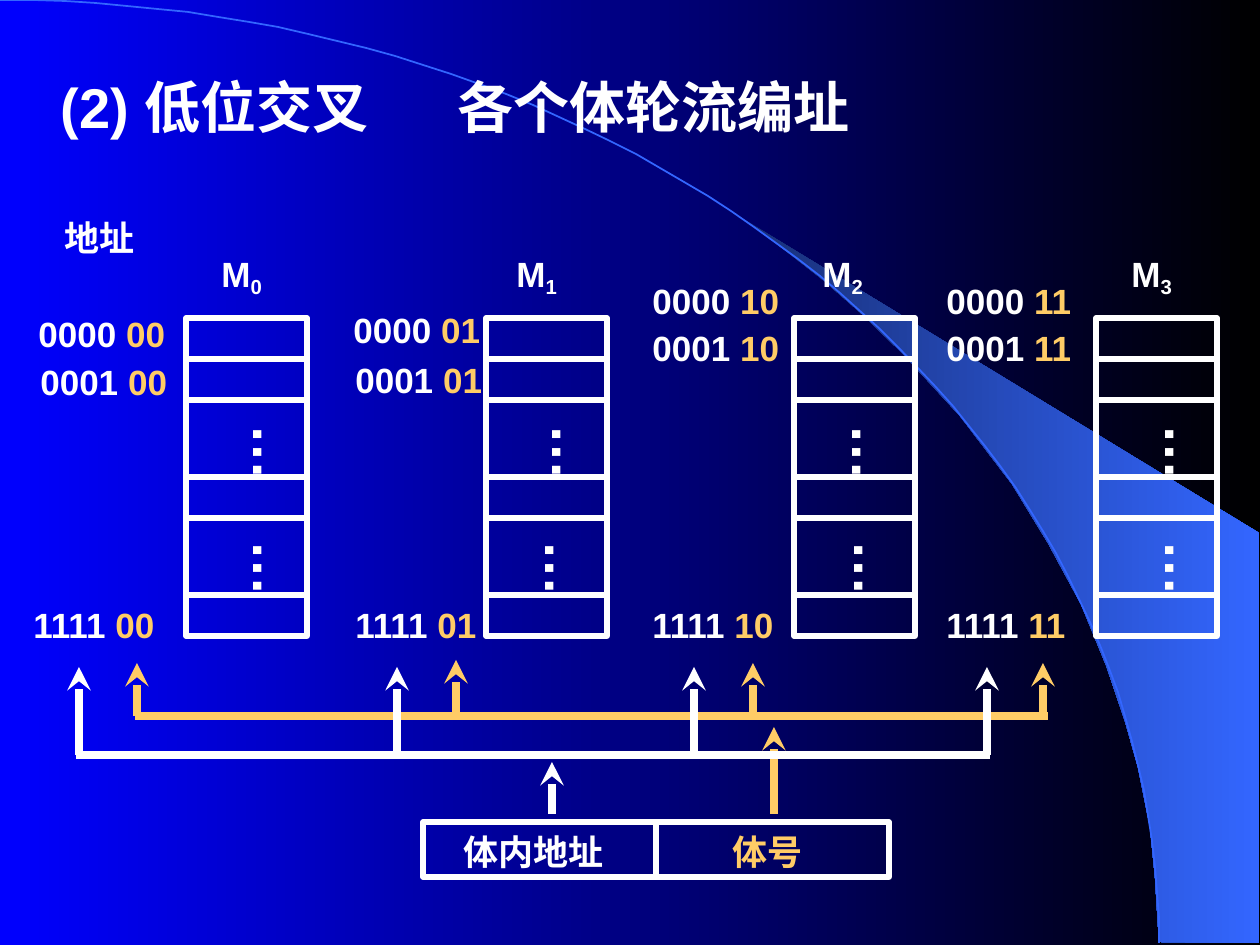
from lxml import etree
from pptx import Presentation
from pptx.dml.color import RGBColor
from pptx.enum.shapes import MSO_CONNECTOR, MSO_SHAPE
from pptx.enum.text import MSO_ANCHOR, MSO_AUTO_SIZE, PP_ALIGN
from pptx.oxml.ns import qn
from pptx.util import Pt

LINE = MSO_CONNECTOR.STRAIGHT
RECT = MSO_SHAPE.RECTANGLE
TOP = MSO_ANCHOR.TOP
LEFT = PP_ALIGN.LEFT
GROW = MSO_AUTO_SIZE.SHAPE_TO_FIT_TEXT
FIXED = MSO_AUTO_SIZE.NONE
EMU = 914400 / 126

COLORS = {
    "white": "FFFFFF", "gold": "FFCC66", "arc": "3366FF",
    "shade": "182F76", "blue": "0000FF", "black": "000000",
}


def px(*vals):
    return [round(v * EMU) for v in vals]


def rgb(name):
    return RGBColor.from_string(COLORS[name])


class Board:
    def __init__(self, slide):
        self.slide = slide
        self.shapes = slide.shapes
        self.face = "Arial"

    def blend(self, fill, *names):
        """Fill with a gradient from left to right."""
        fill.gradient()
        fill.gradient_angle = 0
        for stop, name in zip(fill.gradient_stops, names):
            stop.color.rgb = rgb(name)

    def stroke(self, line, color, width):
        line.color.rgb = rgb(color)
        line.width = Pt(width)

    def style(self, para, size, color="white"):
        font = para.font
        font.name, font.size, font.bold = self.face, Pt(size), True
        font.color.rgb = rgb(color)

    def title(self, text, *box):
        head = self.shapes.title
        head.left, head.top, head.width, head.height = px(*box)
        frame = head.text_frame
        frame.text = text
        frame.vertical_anchor = TOP
        frame.auto_size = FIXED
        para = frame.paragraphs[0]
        para.alignment = LEFT
        self.style(para, 32)

    def text(self, text, *box, size=20, color="white", wrap=False):
        frame = self.shapes.add_textbox(*px(*box)).text_frame
        frame.word_wrap = wrap
        frame.auto_size = GROW
        para = frame.paragraphs[0]
        para.add_run().text = text
        self.style(para, size, color)
        return frame

    def bank(self, num, *box):
        """Write the name of a memory bank with a subscript number."""
        run = self.text("M", *box).paragraphs[0].add_run()
        run.text = str(num)
        run.font._element.set("baseline", "-20000")

    def code(self, word, bank, x, y):
        """Write an address whose low bits name the bank."""
        frame = self.text(word + " ", x, y, 190, 55, wrap=True)
        run = frame.paragraphs[0].add_run()
        run.text = bank
        run.font.color.rgb = rgb("gold")

    def dots(self, x, y):
        frame = self.text("…", x, y, 93, 69, size=32)
        frame._txBody.bodyPr.set("vert", "eaVert")

    def rect(self, *box):
        shape = self.shapes.add_shape(RECT, *px(*box))
        shape.shadow.inherit = False
        shape.fill.background()
        self.stroke(shape.line, "white", 3)

    def line(self, color, *ends, head=False):
        link = self.shapes.add_connector(LINE, *px(*ends))
        self.stroke(link.line, color, 4.5)
        if head:
            ln = link.line._get_or_add_ln()
            etree.SubElement(ln, qn("a:headEnd"), type="stealth")
        etree.SubElement(link._element.spPr, qn("a:effectLst"))

    def outline(self, points, close):
        pen = self.shapes.build_freeform(*points[0], scale=EMU)
        pen.add_line_segments(points[1:], close=close)
        shape = pen.convert_to_shape()
        shape.shadow.inherit = False
        return shape

    def beam(self, points):
        shape = self.outline(points, True)
        self.blend(shape.fill, "shade", "arc")
        shape.line.fill.background()

    def arc(self, *ctrl, steps=60):
        """Draw a cubic curve through short segments."""
        points = []
        for i in range(steps + 1):
            t = i / steps
            u = 1 - t
            mix = (u ** 3, 3 * u * u * t, 3 * u * t * t, t ** 3)
            points.append(tuple(sum(m * c for m, c in zip(mix, axis))
                                for axis in zip(*ctrl)))
        shape = self.outline(points, False)
        shape.fill.background()
        self.stroke(shape.line, "arc", 1)


BEAM = [
    (1159, 942), (1259, 943), (1259, 533), (742, 218), (786, 251),
    (823, 280), (863, 315), (902, 353), (960, 416), (1012, 484),
    (1048, 543), (1081, 604), (1106, 665), (1125, 721), (1138, 767),
    (1150, 827), (1155, 877),
]
CELLS = [41, 41, 77, 41, 77, 41]
WORDS = ["0000", "0001", "1111"]
# Per bank: cell left, name left, left of each ellipsis, address places
BANKS = [
    (186, 209, (223, 223), [(26, 306), (28, 354), (21, 597)]),
    (486, 504, (522, 515), [(341, 302), (343, 352), (343, 597)]),
    (794, 810, (822, 824), [(640, 273), (640, 320), (640, 597)]),
    (1096, 1119, (1135, 1135), [(934, 273), (934, 320), (934, 597)]),
]


def main():
    deck = Presentation()
    deck.slide_width, deck.slide_height = px(1260, 945)
    board = Board(deck.slides.add_slide(deck.slide_layouts[5]))
    board.blend(board.slide.background.fill, "blue", "black")
    board.beam(BEAM)
    board.arc((0, 0), (640, 0), (1159, 422), (1159, 943))

    board.title("(2) 低位交叉", 48, 66, 390, 79)
    board.text("各个体轮流编址", 445, 66, 800, 79, size=32, wrap=True)
    board.text("地址", 52, 210, 97, 55)

    for num, (left, name, marks, spots) in enumerate(BANKS):
        board.bank(num, name, 246, 68, 55)
        y = 318
        for high in CELLS:
            board.rect(left, y, 121, high)
            y += high
        for x, y in zip(marks, (412, 528)):
            board.dots(x, y)
        for word, spot in zip(WORDS, spots):
            board.code(word, f"{num:02b}", *spot)

    for x in (423, 656):
        board.rect(x, 822, 233, 55)
    board.text("体内地址", 451, 824, 166, 54)
    board.text("体号", 720, 824, 97, 54, color="gold")

    board.line("gold", 135, 716, 1048, 716)
    for x, y in ((137, 663), (456, 660), (753, 663), (1043, 663)):
        board.line("gold", x, y, x, 716, head=True)
    board.line("gold", 774, 727, 774, 814, head=True)
    board.line("white", 76, 755, 990, 755)
    for x in (79, 397, 694, 987):
        board.line("white", x, 667, x, 755, head=True)
    board.line("white", 552, 762, 552, 814, head=True)

    deck.save("out.pptx")


if __name__ == "__main__":
    main()
